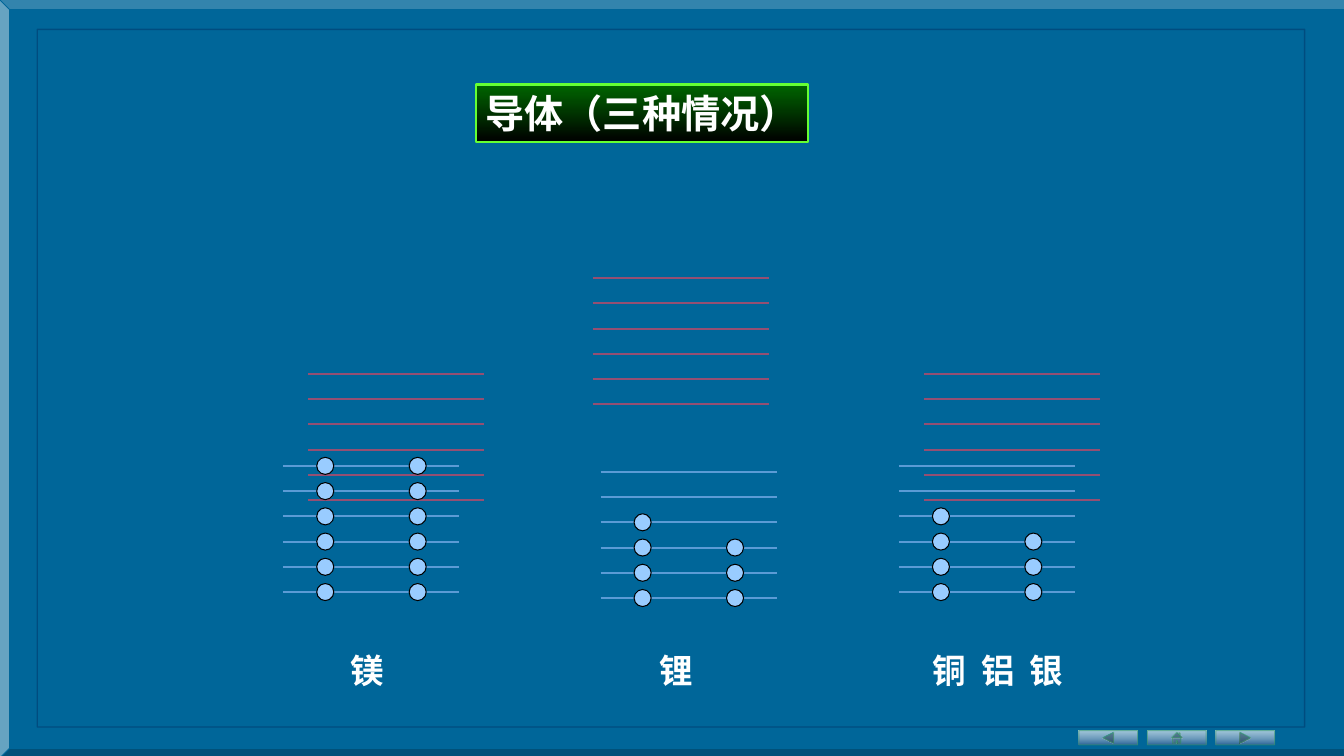
"""Build a slide of energy band diagrams for three kinds of conductor."""
from lxml.etree import SubElement
from pptx import Presentation
from pptx.dml.color import RGBColor
from pptx.enum.shapes import MSO_CONNECTOR, MSO_SHAPE
from pptx.enum.text import MSO_AUTO_SIZE
from pptx.oxml.ns import qn
from pptx.util import Cm, Pt

WHITE = RGBColor(0xFF, 0xFF, 0xFF)
BLACK = RGBColor(0x00, 0x00, 0x00)
PANEL_BLUE = RGBColor(0x00, 0x66, 0x99)
FRAME_BLUE = RGBColor(0x00, 0x33, 0x66)
BUTTON_BLUE = RGBColor(0x33, 0x66, 0x99)
BUTTON_EDGE = RGBColor(0x33, 0x99, 0x66)
LEVEL_BLUE = RGBColor(0x5B, 0x9B, 0xD5)
LEVEL_RED = RGBColor(0x95, 0x4F, 0x72)
ELECTRON_BLUE = RGBColor(0x99, 0xCC, 0xFF)
TITLE_GREEN = RGBColor(0x00, 0x66, 0x00)
TITLE_EDGE = RGBColor(0x66, 0xFF, 0x33)

LEVELS = 6
BAND_WIDTH = 4.44
BAND_HEIGHT = 3.18
ELECTRON_SIZE = 0.43
ELECTRON_OFFSETS = (1.06, 3.39)

CONDUCTORS = (
    {"label": ("锂",), "label_box": (16.38, 1.35), "valence": (15.14, 11.89),
     "conduction": (14.94, 7.01), "electrons": (4, 3)},
    {"label": ("镁",), "label_box": (8.59, 1.35), "valence": (7.14, 11.74),
     "conduction": (7.77, 9.42), "electrons": (6, 6)},
    {"label": ("铜", "铝", "银"), "label_box": (23.27, 3.81), "valence": (22.66, 11.74),
     "conduction": (23.29, 9.42), "electrons": (4, 3)},
)


def set_line(shape, color, width):
    """Give a shape or connector its line colour and width in points."""
    shape.line.color.rgb = color
    shape.line.width = Pt(width)


def set_gradient(shape, top, bottom):
    """Fill a shape with a gradient that runs downwards."""
    shape.fill.gradient()
    shape.fill.gradient_angle = 270
    for stop, color in zip(shape.fill.gradient_stops, (top, bottom)):
        stop.color.rgb = color


def set_opacity(shape, *percentages):
    """Apply opacities to the colours of a shape in their order."""
    for color, percentage in zip(shape._element.iter(qn("a:srgbClr")), percentages):
        SubElement(color, qn("a:alpha")).set("val", str(percentage * 1000))


def add_preset(shapes, kind, left, top, width, height):
    """Add a preset shape without a shadow, in centimetres."""
    shape = shapes.add_shape(kind, Cm(left), Cm(top), Cm(width), Cm(height))
    shape.shadow.inherit = False
    return shape


def add_text(slide, words, left, top, width, height, size):
    """Add a bold white line of words set apart by wide spaces."""
    box = slide.shapes.add_textbox(Cm(left), Cm(top), Cm(width), Cm(height))
    frame_values = {"word_wrap": True, "margin_right": 0,
                    "auto_size": MSO_AUTO_SIZE.SHAPE_TO_FIT_TEXT}
    for name, value in frame_values.items():
        setattr(box.text_frame, name, value)
    paragraph = box.text_frame.paragraphs[0]
    font_values = {"name": "Times New Roman", "size": Pt(size), "bold": True}
    for index, word in enumerate(words):
        for text in (" ", word) if index else (word,):
            run = paragraph.add_run()
            run.text = text
            for name, value in font_values.items():
                setattr(run.font, name, value)
            run.font.color.rgb = WHITE
            if text == " ":
                run._r.get_or_add_rPr().set("spc", str(size * 21))
    return box


def add_background(slide, left, top, width, height):
    """Draw the bevelled panel and the thin frame inside it."""
    panel = add_preset(slide.shapes, MSO_SHAPE.BEVEL, left, top, width, height)
    panel.adjustments[0] = 0.013
    panel.fill.solid()
    panel.fill.fore_color.rgb = PANEL_BLUE
    set_line(panel, PANEL_BLUE, 0.75)
    frame = add_preset(slide.shapes, MSO_SHAPE.RECTANGLE,
                       left + 0.94, top + 0.74, width - 2.26, height - 1.52)
    frame.fill.background()
    set_line(frame, FRAME_BLUE, 1)
    set_opacity(frame, 50)


def add_navigation(slide, left, top, width, height):
    """Spread three navigation buttons evenly over the box."""
    kinds = (MSO_SHAPE.ACTION_BUTTON_BACK_OR_PREVIOUS,
             MSO_SHAPE.ACTION_BUTTON_HOME,
             MSO_SHAPE.ACTION_BUTTON_FORWARD_OR_NEXT)
    button_width = 1.48
    pitch = (width - button_width) / (len(kinds) - 1)
    for index, kind in enumerate(kinds):
        button = add_preset(slide.shapes, kind, left + index * pitch, top,
                            button_width, height)
        set_gradient(button, WHITE, BUTTON_BLUE)
        set_line(button, BUTTON_EDGE, 0)
        set_opacity(button, 62, 89, 52)


def add_band(shapes, left, top, color, electrons=(0, 0)):
    """Draw one band of levels, its electron columns filled from the bottom."""
    for level in range(LEVELS):
        y = top + level * BAND_HEIGHT / (LEVELS - 1)
        line = shapes.add_connector(MSO_CONNECTOR.STRAIGHT, Cm(left), Cm(y),
                                    Cm(left + BAND_WIDTH), Cm(y))
        set_line(line, color, 1.5)
        SubElement(line._element.spPr, qn("a:effectLst"))
        for offset, count in zip(ELECTRON_OFFSETS, electrons):
            if level >= LEVELS - count:
                electron = add_preset(shapes, MSO_SHAPE.OVAL,
                                      left + offset - ELECTRON_SIZE / 2,
                                      y - ELECTRON_SIZE / 2,
                                      ELECTRON_SIZE, ELECTRON_SIZE)
                electron.fill.solid()
                electron.fill.fore_color.rgb = ELECTRON_BLUE
                set_line(electron, BLACK, 0.75)


def add_conductor(slide, label, label_box, valence, conduction, electrons):
    """Draw both bands of a conductor as a group, with its label below."""
    group = slide.shapes.add_group_shape()
    add_band(group.shapes, *conduction, LEVEL_RED)
    add_band(group.shapes, *valence, LEVEL_BLUE, electrons)
    label_left, label_width = label_box
    add_text(slide, label, label_left, 16.26, label_width, 1.27, 24)


def add_title(slide, left, top, width, height):
    """Add the title in its green gradient box."""
    title = add_text(slide, ("导体（三种情况）",), left, top, width, height, 28)
    set_gradient(title, TITLE_GREEN, BLACK)
    set_line(title, TITLE_EDGE, 1.5)


def main():
    """Build and save the presentation."""
    presentation = Presentation()
    presentation.slide_width = Cm(33.88)
    presentation.slide_height = Cm(19.05)
    slide = presentation.slides.add_slide(presentation.slide_layouts[6])
    add_background(slide, 0, 0, 34.21, 19.1)
    add_navigation(slide, 27.2, 18.41, 4.93, 0.36)
    for conductor in CONDUCTORS:
        add_conductor(slide, **conductor)
    add_title(slide, 11.99, 2.13, 8.38, 1.45)
    presentation.save("out.pptx")


if __name__ == "__main__":
    main()
